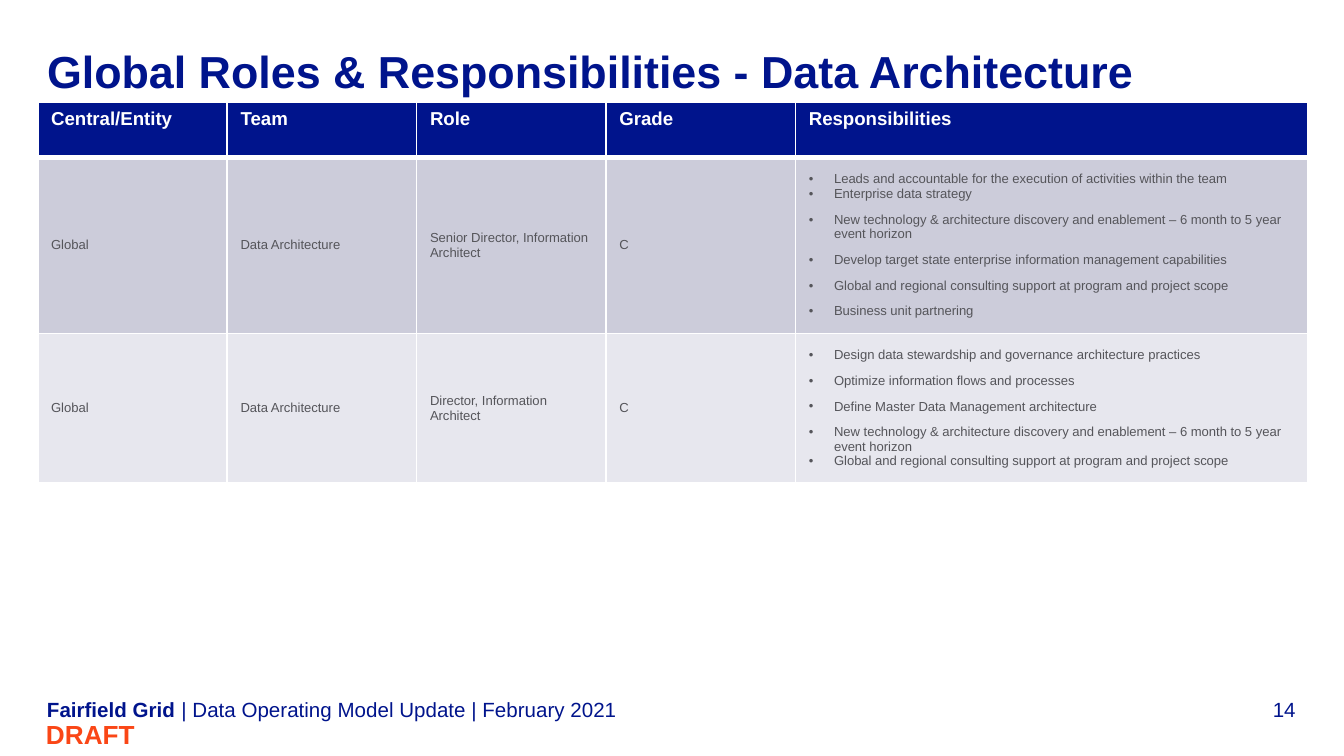
from dataclasses import dataclass

from lxml import etree
from pptx import Presentation
from pptx.dml.color import RGBColor
from pptx.enum.text import MSO_ANCHOR, PP_ALIGN
from pptx.oxml.ns import qn
from pptx.util import Pt

TOP, MIDDLE, BOTTOM = MSO_ANCHOR.TOP, MSO_ANCHOR.MIDDLE, MSO_ANCHOR.BOTTOM
LEFT, RIGHT = PP_ALIGN.LEFT, PP_ALIGN.RIGHT


@dataclass(frozen=True)
class Theme:
    font: str = "Arial"
    navy: str = "00148C"
    white: str = "FFFFFF"
    grey: str = "55555A"
    orange: str = "FA4616"
    bands: tuple = ("CCCCDA", "E7E7EE")
    title: float = 24
    draft: float = 14
    footer: float = 11
    header: float = 10
    body: float = 7
    gap: float = 6
    indent: float = 13.5


THEME = Theme()

HEADERS = ["Central/Entity", "Team", "Role", "Grade", "Responsibilities"]
# Each role: plain cells, then responsibilities as (text, space after)
ROLES = [
    (["Global", "Data Architecture", "Senior Director, Information Architect", "C"], [
        ("Leads and accountable for the execution of activities within the team", 0),
        ("Enterprise data strategy", THEME.gap),
        ("New technology & architecture discovery and enablement – 6 month to 5 year event horizon", THEME.gap),
        ("Develop target state enterprise information management capabilities", THEME.gap),
        ("Global and regional consulting support at program and project scope", THEME.gap),
        ("Business unit partnering", THEME.gap),
    ]),
    (["Global", "Data Architecture", "Director, Information Architect", "C"], [
        ("Design data stewardship and governance architecture practices", THEME.gap),
        ("Optimize information flows and processes", THEME.gap),
        ("Define Master Data Management architecture", THEME.gap),
        ("New technology & architecture discovery and enablement – 6 month to 5 year event horizon", 0),
        ("Global and regional consulting support at program and project scope", 0),
    ]),
]


def write(paragraph, text, size, color, bold=False, align=LEFT, after=0):
    run = paragraph.add_run()
    run.text = text
    paragraph.alignment = align
    paragraph.space_after = Pt(after)
    formats = {"name": THEME.font, "size": Pt(size), "bold": bold}
    for name, value in formats.items():
        setattr(run.font, name, value)
    run.font.color.rgb = RGBColor.from_string(color)


def add_color(parent, color):
    etree.SubElement(parent, qn("a:srgbClr"), val=color)


def add_bullet(paragraph):
    properties = paragraph._p.get_or_add_pPr()
    indent = Pt(THEME.indent)
    properties.set("marL", str(indent))
    properties.set("indent", str(-indent))
    add_color(etree.SubElement(properties, qn("a:buClr")), THEME.grey)
    etree.SubElement(properties, qn("a:buFont"), typeface=THEME.font)
    etree.SubElement(properties, qn("a:buChar"), char="•")


def add_label(slide, box, text, size, color, anchor=BOTTOM, wrap=True, **style):
    shape = slide.shapes.add_textbox(*map(Pt, box))
    frame = shape.text_frame
    formats = {"margin_left": 0, "margin_right": 0, "margin_top": 0,
               "margin_bottom": 0, "vertical_anchor": anchor, "word_wrap": wrap}
    for name, value in formats.items():
        setattr(frame, name, value)
    write(frame.paragraphs[0], text, size, color, **style)


def style_cell(cell, fill, anchor, top=1, bottom=1):
    cell.vertical_anchor = anchor
    properties = cell._tc.get_or_add_tcPr()
    for side, width in {"L": 1, "R": 1, "T": top, "B": bottom}.items():
        line = etree.SubElement(properties, qn(f"a:ln{side}"), w=str(Pt(width)))
        add_color(etree.SubElement(line, qn("a:solidFill")), THEME.white)
    cell.fill.solid()
    cell.fill.fore_color.rgb = RGBColor.from_string(fill)


def add_roles_table(slide, box):
    left, top, width, height = box
    narrow = 101.5
    widths = [narrow] * 4 + [width - 4 * narrow]
    heights = [29.5, 94.5, height - 124]
    table = slide.shapes.add_table(len(heights), len(widths), *map(Pt, box)).table
    for column, value in zip(table.columns, widths):
        column.width = Pt(value)
    for row, value in zip(table.rows, heights):
        row.height = Pt(value)

    # Header row
    for cell, text in zip(table.rows[0].cells, HEADERS):
        style_cell(cell, THEME.navy, TOP, bottom=3)
        write(cell.text_frame.paragraphs[0], text, THEME.header, THEME.white,
              bold=True, after=THEME.gap)

    # One banded row per role
    for index, (labels, duties) in enumerate(ROLES):
        cells = list(table.rows[index + 1].cells)
        for cell in cells:
            style_cell(cell, THEME.bands[index], MIDDLE, top=1 if index else 3)
        for cell, text in zip(cells, labels):
            write(cell.text_frame.paragraphs[0], text, THEME.body, THEME.grey, after=THEME.gap)
        frame = cells[-1].text_frame
        for number, (text, after) in enumerate(duties):
            paragraph = frame.add_paragraph() if number else frame.paragraphs[0]
            add_bullet(paragraph)
            write(paragraph, text, THEME.body, THEME.grey, after=after)


def add_footer(slide, box):
    left, top, width, height = box
    name_width, number_width = 72, 42
    add_label(slide, (left, top, name_width, height), "Fairfield Grid",
              THEME.footer, THEME.navy, bold=True, wrap=False)
    add_label(slide, (left + name_width, top, 566, height),
              "| Data Operating Model Update | February 2021", THEME.footer, THEME.navy)
    add_label(slide, (left + width - number_width, top, number_width, height),
              "14", THEME.footer, THEME.navy, align=RIGHT)
    # Draft mark below the footer line
    add_label(slide, (left - 16.5, top + 12.5, 63.5, 16), "DRAFT",
              THEME.draft, THEME.orange, anchor=MIDDLE, bold=True, align=RIGHT)


def main():
    presentation = Presentation()
    presentation.slide_width, presentation.slide_height = Pt(720), Pt(405)
    slide = presentation.slides.add_slide(presentation.slide_layouts[6])
    add_label(slide, (25.2, 20.9, 668.9, 33.8),
              "Global Roles & Responsibilities - Data Architecture",
              THEME.title, THEME.navy, anchor=MIDDLE, bold=True)
    add_roles_table(slide, (20.2, 54.7, 680.6, 204))
    add_footer(slide, (25.2, 373, 668.9, 13.7))
    presentation.save("out.pptx")


if __name__ == "__main__":
    main()
